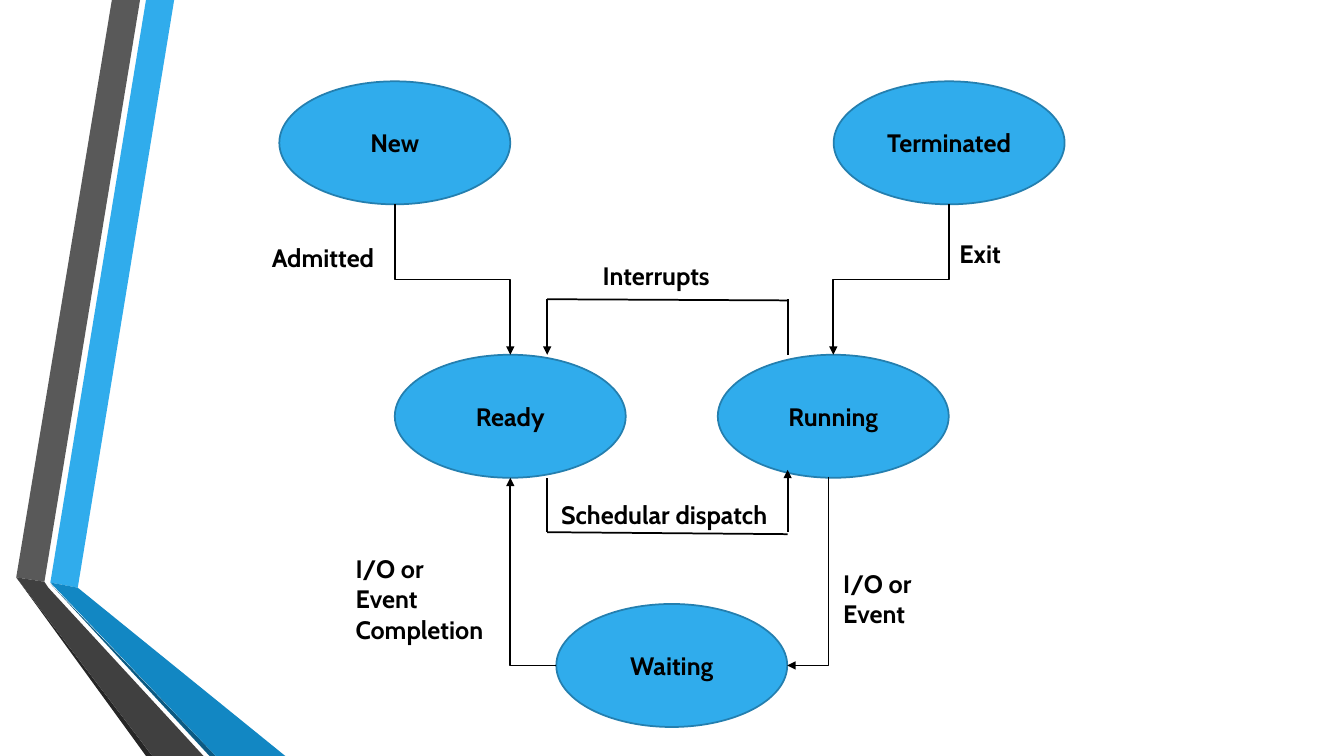
from lxml import etree
from pptx import Presentation
from pptx.dml.color import RGBColor
from pptx.enum.shapes import MSO_CONNECTOR as Connector, MSO_SHAPE as Shape
from pptx.enum.text import MSO_ANCHOR as Anchor, PP_ALIGN as Align
from pptx.oxml.ns import qn
from pptx.util import Cm, Pt

SLIDE_WIDTH, SLIDE_HEIGHT = 33.87, 19.05
STATE_WIDTH, STATE_HEIGHT = 5.82, 3.1
BLUE, OUTLINE, BLACK = "30ACEC", "247FAF", "000000"
LINE_WIDTH = 1.25

# Centre of each state
STATES = {
    "New": (9.95, 3.6),
    "Terminated": (23.92, 3.6),
    "Ready": (12.86, 10.49),
    "Running": (21, 10.49),
    "Waiting": (16.93, 16.77),
}

# Left, top and width of each transition label
LABELS = {
    "Interrupts": (14.94, 6.43, 3.78),
    "Admitted": (6.6, 5.97, 3.78),
    "Schedular dispatch": (13.89, 12.47, 6.07),
    "Exit": (23.93, 5.87, 3.78),
    "I/O or Event": (21, 14.2, 3.78),
    "I/O or Event Completion": (8.71, 13.82, 3.78),
}

# Colour and corners of each part of the side ribbon
RIBBONS = [
    (BLUE, [(1.27, 14.68), (1.96, 14.81), (4.39, 0), (3.68, 0)]),
    ("595959", [(3.53, 0), (2.82, 0), (0.41, 14.55), (1.12, 14.66)]),
    ("262626", [(0.41, 14.55), (3.68, SLIDE_HEIGHT), (3.84, SLIDE_HEIGHT)]),
    ("0C5A82", [(1.27, 14.71), (5.28, SLIDE_HEIGHT), (5.44, SLIDE_HEIGHT)]),
    ("1287C3", [(1.27, 14.68), (5.44, SLIDE_HEIGHT), (7.19, SLIDE_HEIGHT),
                (1.96, 14.81)]),
    ("404040", [(5.13, SLIDE_HEIGHT), (1.22, 14.81), (1.12, 14.66),
                (0.41, 14.55), (3.84, SLIDE_HEIGHT)]),
]


def color(hex_code):
    """Return the colour for a hex string."""
    return RGBColor.from_string(hex_code)


def write(shape, text, size=18, font="Cabin", fill=BLACK, bold=True,
          align=Align.LEFT, anchor=Anchor.TOP):
    """Put formatted text into a shape."""
    frame = shape.text_frame
    frame.word_wrap = True
    frame.vertical_anchor = anchor
    paragraph = frame.paragraphs[0]
    paragraph.alignment = align
    run = paragraph.add_run()
    run.text = text
    run.font.size = Pt(size)
    run.font.name = font
    run.font.bold = bold
    run.font.color.rgb = color(fill)


def add_ribbon(slide, fill, corners):
    """Draw one closed polygon without an outline."""
    points = [(Cm(x), Cm(y)) for x, y in corners]
    builder = slide.shapes.build_freeform(*points[0])
    builder.add_line_segments(points[1:], close=True)
    shape = builder.convert_to_shape()
    shape.shadow.inherit = False
    shape.fill.solid()
    shape.fill.fore_color.rgb = color(fill)
    shape.line.fill.background()


def add_state(slide, name, center):
    """Draw a state as a named ellipse around its centre."""
    x, y = center
    shape = slide.shapes.add_shape(
        Shape.OVAL, Cm(x - STATE_WIDTH / 2), Cm(y - STATE_HEIGHT / 2),
        Cm(STATE_WIDTH), Cm(STATE_HEIGHT))
    shape.shadow.inherit = False
    shape.fill.solid()
    shape.fill.fore_color.rgb = color(BLUE)
    shape.line.color.rgb = color(OUTLINE)
    shape.line.width = Pt(LINE_WIDTH)
    write(shape, name, align=Align.CENTER, anchor=Anchor.MIDDLE)


def add_label(slide, text, left, top, width):
    """Add the wording of a transition."""
    box = slide.shapes.add_textbox(Cm(left), Cm(top), Cm(width), Cm(1.02))
    write(box, text)


def add_line(slide, start, end, arrow=False, kind=Connector.STRAIGHT):
    """Draw a black connector, with an arrowhead at its end if wanted."""
    connector = slide.shapes.add_connector(
        kind, *(Cm(value) for value in (*start, *end)))
    connector.line.color.rgb = color(BLACK)
    connector.line.width = Pt(LINE_WIDTH)
    properties = connector._element.spPr
    if arrow:
        line = properties.find(qn("a:ln"))
        etree.SubElement(line, qn("a:tailEnd"), type="triangle")
    etree.SubElement(properties, qn("a:effectLst"))
    return connector


def add_elbow(slide, start, end, preset="bentConnector3", vertical=True):
    """Draw a bent arrow that leaves downwards, or leftwards and then up."""
    (x1, y1), (x2, y2) = start, end
    rotation = 180
    if vertical:
        rightwards = x2 > x1
        rotation = 270 if rightwards else 90
        # The unrotated frame swaps width and height about the same middle
        middle_x, middle_y = (x1 + x2) / 2, (y1 + y2) / 2
        half_width, half_height = abs(y2 - y1) / 2, abs(x2 - x1) / 2
        x1, x2 = middle_x - half_width, middle_x + half_width
        y1, y2 = middle_y - half_height, middle_y + half_height
        if rightwards:
            x1, x2 = x2, x1
    else:
        x1, y1, x2, y2 = x2, y2, x1, y1
    connector = add_line(slide, (x1, y1), (x2, y2), True, Connector.ELBOW)
    properties = connector._element.spPr
    properties.find(qn("a:xfrm")).set("rot", str(rotation * 60000))
    properties.find(qn("a:prstGeom")).set("prst", preset)


def edge(name, across=0, down=0):
    """Return a point on a state's frame; across and down are -1, 0 or 1."""
    x, y = STATES[name]
    return x + across * STATE_WIDTH / 2, y + down * STATE_HEIGHT / 2


def add_transitions(slide):
    """Connect the states."""
    add_elbow(slide, edge("New", down=1), edge("Ready", down=-1))
    add_elbow(slide, edge("Terminated", down=1), edge("Running", down=-1))
    add_elbow(slide, (20.88, 12.02), edge("Waiting", across=1),
              "bentConnector2")
    add_elbow(slide, edge("Waiting", across=-1), edge("Ready", down=1),
              "bentConnector2", vertical=False)

    left, right = 13.79, 19.85
    top, bottom = edge("Ready", down=-1)[1], edge("Ready", down=1)[1]
    interrupts, dispatch = 7.54, 13.41
    add_line(slide, (right, top), (right, interrupts))
    add_line(slide, (right, interrupts + 0.03), (left, interrupts))
    add_line(slide, (left, interrupts), (left, top), arrow=True)
    add_line(slide, (left, dispatch), (left, bottom))
    add_line(slide, (right, dispatch + 0.05), (left, dispatch))
    add_line(slide, (right, dispatch), (right, 11.84), arrow=True)


def main():
    """Build the process state diagram."""
    presentation = Presentation()
    presentation.slide_width = Cm(SLIDE_WIDTH)
    presentation.slide_height = Cm(SLIDE_HEIGHT)
    slide = presentation.slides.add_slide(presentation.slide_layouts[6])
    for fill, corners in RIBBONS:
        add_ribbon(slide, fill, corners)
    for name, center in STATES.items():
        add_state(slide, name, center)
    add_transitions(slide)
    for text, place in LABELS.items():
        add_label(slide, text, *place)
    presentation.save("out.pptx")


main()
